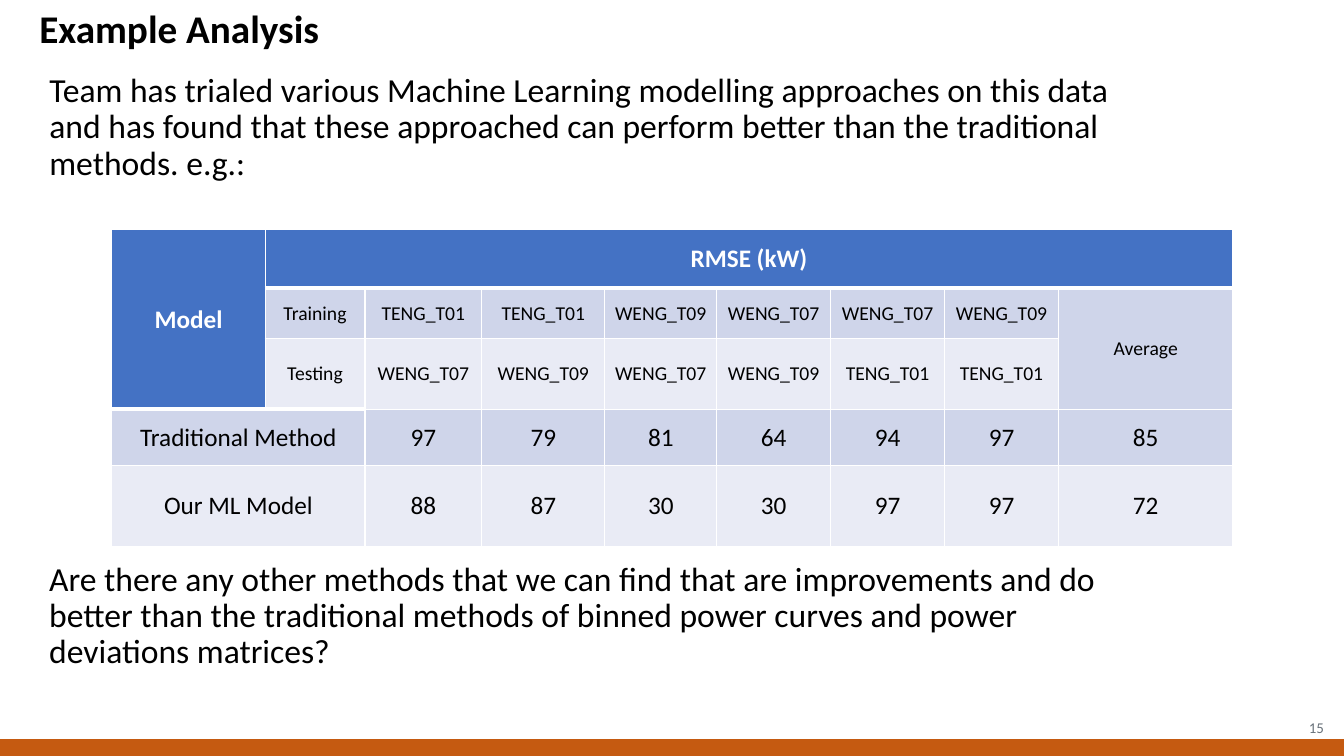
import pptx
import pptx.util
import pptx.dml.color
import pptx.enum.shapes
import pptx.enum.text
import pptx.oxml
import pptx.oxml.ns

WIDTH, HEIGHT = 13.33, 7.5
FONT = "Calibri"
COLORS = {
    "text": "000000",
    "white": "FFFFFF",
    "header": "4472C4",
    "band_dark": "CFD5EA",
    "band_light": "E9EBF5",
    "footer": "C55A11",
    "page_number": "6A737B",
}
ALIGN = pptx.enum.text.PP_ALIGN
MIDDLE = pptx.enum.text.MSO_ANCHOR.MIDDLE
TOP = pptx.enum.text.MSO_ANCHOR.TOP

# Text block column, as shares of the slide width
TEXT_LEFT, TEXT_WIDTH = 0.39 / WIDTH, 10.96 / WIDTH

# Results table: column widths and row heights in inches
COLUMNS = [1.52, 0.99, 1.16, 1.22, 1.11, 1.13, 1.13, 1.13, 1.73]
ROWS = [0.58, 0.5, 0.7, 0.56, 0.8]
RESULTS = [
    ["Model", "RMSE (kW)"] + [""] * 7,
    ["", "Training", "TENG_T01", "TENG_T01", "WENG_T09", "WENG_T07",
     "WENG_T07", "WENG_T09", "Average"],
    ["", "Testing", "WENG_T07", "WENG_T09", "WENG_T07", "WENG_T09",
     "TENG_T01", "TENG_T01", ""],
    ["Traditional Method", "", "97", "79", "81", "64", "94", "97", "85"],
    ["Our ML Model", "", "88", "87", "30", "30", "97", "97", "72"],
]
# First and last (row, column) of each merged area
MERGES = [((0, 0), (2, 0)), ((0, 1), (0, 8)), ((1, 8), (2, 8)),
          ((3, 0), (3, 1)), ((4, 0), (4, 1))]


def rgb(name):
    return pptx.dml.color.RGBColor.from_string(COLORS[name])


def area(left, top, width, height):
    """Turn shares of the slide into lengths."""
    return [pptx.util.Inches(share * side) for share, side in
            zip((left, top, width, height), (WIDTH, HEIGHT) * 2)]


def place(shape, box):
    shape.left, shape.top, shape.width, shape.height = box


def write(frame, text, size, color="text", bold=False, align=ALIGN.LEFT):
    frame.text = text
    paragraph = frame.paragraphs[0]
    paragraph.alignment = align
    for run in paragraph.runs:
        run.font.name = FONT
        run.font.size = pptx.util.Pt(size)
        run.font.bold = bold
        run.font.color.rgb = rgb(color)
    return paragraph


def set_frame(frame, anchor):
    frame.word_wrap = True
    frame.auto_size = pptx.enum.text.MSO_AUTO_SIZE.NONE
    frame.vertical_anchor = anchor


def add_title(slide, text):
    title = slide.shapes.title
    place(title, area(0, 0.11 / HEIGHT, 11.35 / WIDTH, 0.4 / HEIGHT))
    set_frame(title.text_frame, MIDDLE)
    title.text_frame.margin_left = pptx.util.Inches(0.39)
    write(title.text_frame, text, 28, bold=True).line_spacing = 0.9


def fill_prose(shape, text):
    set_frame(shape.text_frame, TOP)
    paragraph = write(shape.text_frame, text, 24)
    paragraph.line_spacing = 0.9
    paragraph.space_before = pptx.util.Pt(10)
    # Plain text without a bullet or hanging indent
    properties = paragraph._p.get_or_add_pPr()
    properties.set("marL", "0")
    properties.set("indent", "0")
    properties.append(pptx.oxml.parse_xml(
        f'<a:buNone {pptx.oxml.ns.nsdecls("a")}/>'))


def set_borders(cell, bottom):
    properties = cell._tc.get_or_add_tcPr()
    for side, points in (("L", 1), ("R", 1), ("T", 1), ("B", bottom)):
        properties.append(pptx.oxml.parse_xml(
            f'<a:ln{side} {pptx.oxml.ns.nsdecls("a")} w="{points * 12700}">'
            f'<a:solidFill><a:srgbClr val="{COLORS["white"]}"/></a:solidFill>'
            f'</a:ln{side}>'))


def add_results(slide):
    box = area(1.11 / WIDTH, 2.28 / HEIGHT, sum(COLUMNS) / WIDTH, sum(ROWS) / HEIGHT)
    results = slide.shapes.add_table(len(ROWS), len(COLUMNS), *box).table
    for column, width in zip(results.columns, COLUMNS):
        column.width = pptx.util.Inches(width)
    for row, height in zip(results.rows, ROWS):
        row.height = pptx.util.Inches(height)

    for r, labels in enumerate(RESULTS):
        for c, label in enumerate(labels):
            cell = results.cell(r, c)
            header = r == 0 or (c == 0 and r < 3)
            average = r == 2 and c == 8
            band = "band_dark" if r % 2 or average else "band_light"
            set_borders(cell, bottom=3 if header else 1)
            cell.fill.solid()
            cell.fill.fore_color.rgb = rgb("header" if header else band)
            cell.vertical_anchor = MIDDLE
            size = 14 if r in (1, 2) else 18
            write(cell.text_frame, label, size, "white" if header else "text",
                  bold=header, align=ALIGN.CENTER)
    for first, last in MERGES:
        results.cell(*first).merge(results.cell(*last))


def add_footer(slide, number):
    page = slide.shapes.add_textbox(
        *area(12.67 / WIDTH, 7.02 / HEIGHT, 0.56 / WIDTH, 0.4 / HEIGHT))
    set_frame(page.text_frame, MIDDLE)
    write(page.text_frame, number, 10.7, "page_number", align=ALIGN.RIGHT)

    bar = slide.shapes.add_shape(
        pptx.enum.shapes.MSO_SHAPE.RECTANGLE,
        *area(-0.01 / WIDTH, 7.32 / HEIGHT, 13.42 / WIDTH, 0.25 / HEIGHT))
    bar.shadow.inherit = False
    bar.fill.solid()
    bar.fill.fore_color.rgb = rgb("footer")
    bar.line.color.rgb = rgb("white")
    bar.line.width = pptx.util.Pt(1)


def main():
    deck = pptx.Presentation()
    deck.slide_width = pptx.util.Inches(WIDTH)
    deck.slide_height = pptx.util.Inches(HEIGHT)
    slide = deck.slides.add_slide(deck.slide_layouts[1])

    # Heading and introduction
    add_title(slide, "Example Analysis")
    introduction = slide.placeholders[1]
    place(introduction, area(TEXT_LEFT, 0.68 / HEIGHT, TEXT_WIDTH, 1.87 / HEIGHT))
    fill_prose(introduction, "Team has trialed various Machine Learning modelling "
               "approaches on this data and has found that these approached can "
               "perform better than the traditional methods. e.g.:")

    # Page number and footer bar
    add_footer(slide, "15")

    # Closing question and model comparison
    question = slide.shapes.add_textbox(
        *area(TEXT_LEFT, 5.53 / HEIGHT, TEXT_WIDTH, 1.2 / HEIGHT))
    fill_prose(question, "Are there any other methods that we can find that are "
               "improvements and do better than the traditional methods of binned "
               "power curves and power deviations matrices?")
    add_results(slide)

    deck.save("out.pptx")


if __name__ == "__main__":
    main()
